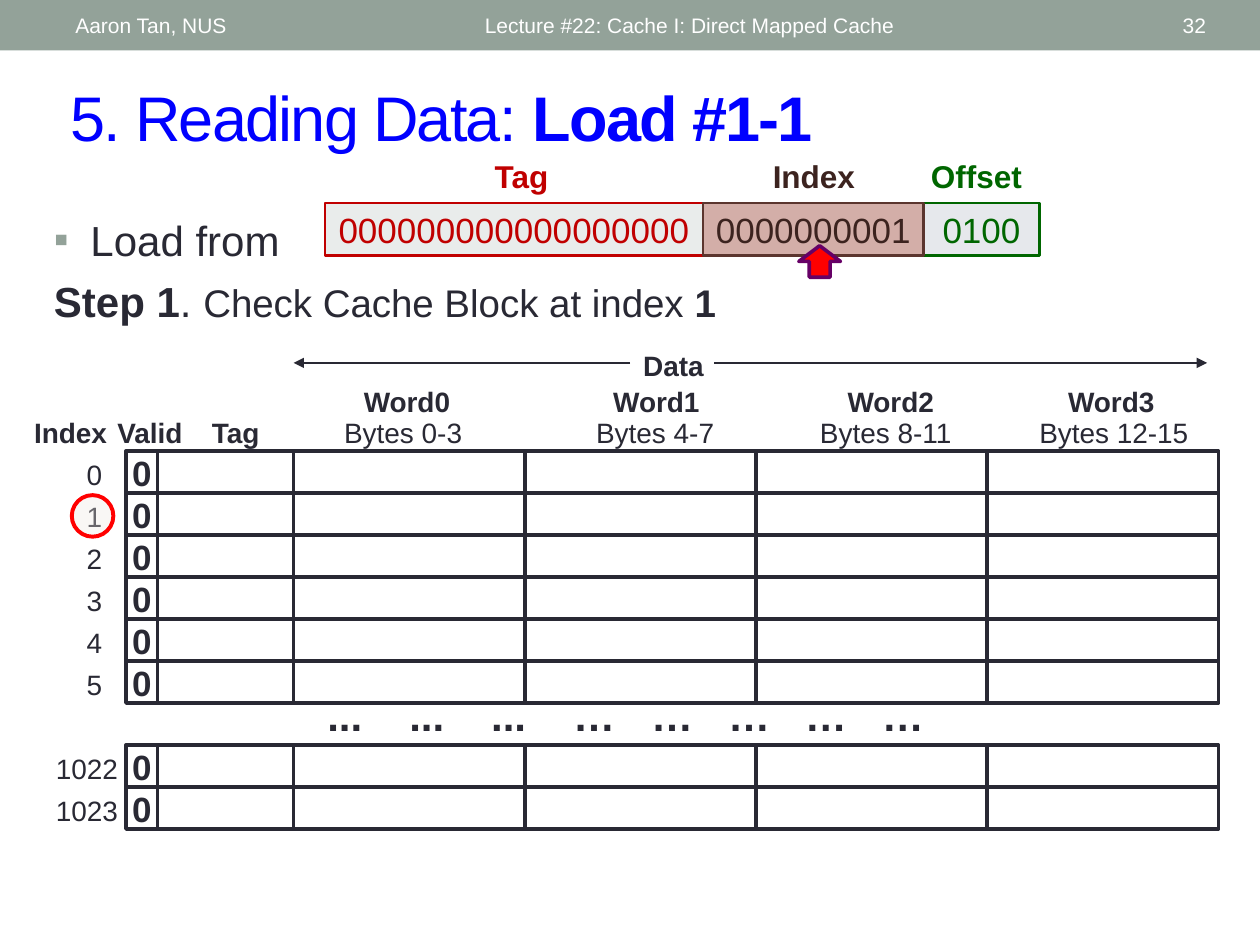
import pptx
import pptx.util
import pptx.dml.color
import pptx.enum.shapes
import pptx.enum.text
import pptx.oxml.ns
from lxml import etree

Inches, Pt = pptx.util.Inches, pptx.util.Pt
Kind = pptx.enum.shapes.MSO_SHAPE
Align = pptx.enum.text.PP_ALIGN
Middle = pptx.enum.text.MSO_ANCHOR.MIDDLE
qn = pptx.oxml.ns.qn
INK, SAGE, WHITE, RED = "292934", "93A299", "FFFFFF", "FF0000"
ROW = 1 / 3


def color(text):
    return pptx.dml.color.RGBColor.from_string(text)


def add_tag(node, name, **attrs):
    return etree.SubElement(node, qn(name), attrs)


def set_font(font, size, ink, bold=False):
    font.name, font.size, font.bold = "Arial", Pt(size), bold
    font.color.rgb = color(ink)


def write(frame, text, size, ink=INK, bold=False, align=Align.CENTER):
    para = frame.paragraphs[0]
    para.alignment = align
    para.add_run().text = text
    set_font(para.font, size, ink, bold)
    return para


def add_text(slide, box, text, size, ink=INK, bold=False,
             align=Align.CENTER, wrap=False, anchor=None):
    frame = slide.shapes.add_textbox(*map(Inches, box)).text_frame
    frame.word_wrap = wrap
    if anchor is not None:
        frame.vertical_anchor = anchor
    return write(frame, text, size, ink, bold, align)


def add_shape(slide, box, kind, fill=None, line=None, width=0):
    shape = slide.shapes.add_shape(kind, *map(Inches, box))
    shape.shadow.inherit = False
    if fill:
        shape.fill.solid()
        shape.fill.fore_color.rgb = color(fill)
    else:
        shape.fill.background()
    if line:
        shape.line.color.rgb = color(line)
        shape.line.width = Pt(width)
    else:
        shape.line.fill.background()
    return shape


def add_cell(slide, box, text, size, ink=INK, bold=False, **look):
    shape = add_shape(slide, box, Kind.RECTANGLE, **look)
    frame = shape.text_frame
    frame.margin_left = frame.margin_right = 0
    frame.word_wrap = False
    frame.vertical_anchor = Middle
    if text:
        write(frame, text, size, ink, bold)


def add_arrow(slide, start, end, y):
    line = slide.shapes.add_connector(
        pptx.enum.shapes.MSO_CONNECTOR.STRAIGHT,
        *map(Inches, (start, y, end, y)))
    line.line.color.rgb = color(INK)
    line.line.width = Pt(0.75)
    add_tag(line.line._get_or_add_ln(), "a:tailEnd", type="triangle")
    add_tag(line._element.spPr, "a:effectLst")


def add_header(slide, box):
    left, top, width, height = box
    add_shape(slide, box, Kind.RECTANGLE, fill=SAGE)
    for x, wide, text, align in (
            (0.5, 3.17, "Aaron Tan, NUS", Align.LEFT),
            (3.75, 4.5, "Lecture #22: Cache I: Direct Mapped Cache", Align.LEFT),
            (8.72, 0.95, "32", Align.RIGHT)):
        add_text(slide, (left + x, top + 0.02, wide, height - 0.04), text, 12,
                 WHITE, align=align, wrap=True, anchor=Middle)


def add_title(slide, box):
    para = add_text(slide, box, "5. Reading Data: ", 36, "0000FF",
                    align=Align.LEFT, wrap=True, anchor=Middle)
    strong = para.add_run()
    strong.text = "Load #1-1"
    strong.font.bold = True
    for run in para.runs:
        run.font._element.set("spc", "-100")


def add_body(slide, box):
    frame = slide.shapes.add_textbox(*map(Inches, box)).text_frame
    frame.word_wrap = True
    frame.margin_top = Inches(0.1)
    first = frame.paragraphs[0]
    props = first._p.get_or_add_pPr()
    props.set("marL", str(Inches(0.29)))
    props.set("indent", str(-Inches(0.29)))
    add_tag(add_tag(props, "a:buClr"), "a:srgbClr", val=SAGE)
    add_tag(props, "a:buFont", typeface="Arial")
    add_tag(props, "a:buChar", char="▪")
    write(frame, "Load from", 24, align=Align.LEFT)
    step = frame.add_paragraph()
    step.space_before = Pt(6)
    for text, size, bold in (("Step 1", 24, True), (". ", 24, False),
                             ("Check Cache Block at index ", 22, False),
                             ("1", 22, True)):
        run = step.add_run()
        run.text = text
        set_font(run.font, size, INK, bold)


def add_address(slide, box):
    left, top, _, height = box
    x = left
    # Field: name, bits, width, label centre, ink, fill, line
    for name, bits, wide, mid, ink, fill, line in (
            ("Tag", "000000000000000000", 3, 4.14, "C00000", "E9ECEB", "C00000"),
            ("Offset", "0100", 0.92, 7.75, "006600", "E6E8EC", "006600"),
            ("Index", "0000000001", 1.75, 6.46, "3C231F", "D3AEA8", "5B352E")):
        x = {"Tag": left, "Index": left + 3, "Offset": left + 4.75}[name]
        add_cell(slide, (x, top, wide, height), bits, 20, ink,
                 fill=fill, line=line, width=1.5)
        add_text(slide, (mid - 0.58, top - 0.41, 1.16, 0.4), name, 18, ink, True)


def add_heads(slide, box):
    left, top, width, _ = box
    right = left + width
    # Data span
    add_text(slide, (5, top - 0.86, 0.69, 0.37), "Data", 16, bold=True)
    add_arrow(slide, 5, 2.33, top - 0.7)
    add_arrow(slide, 5.67, right - 0.09, top - 0.7)
    # Column names
    for mid, name in ((0.56, "Index"), (1.19, "Valid"), (1.87, "Tag")):
        add_text(slide, (mid - 0.4, top - 0.33, 0.8, 0.37), name, 16, bold=True)
    for i, (word, byte, span) in enumerate((
            (3.23, 3.2, "0-3"), (5.21, 5.2, "4-7"),
            (7.07, 7.03, "8-11"), (8.82, 8.84, "12-15"))):
        add_text(slide, (word - 0.45, top - 0.58, 0.9, 0.37), f"Word{i}", 16,
                 bold=True)
        add_text(slide, (byte - 0.7, top - 0.33, 1.4, 0.37), f"Bytes {span}", 16)


def add_cache(slide, box):
    left, top, width, _ = box
    word = (width - 1.33) / 4
    edges = [left, left + 0.25] + [left + 1.33 + i * word for i in range(5)]
    add_heads(slide, box)
    # Rows, with one left free for the dots
    for row, name in enumerate(("0", "1", "2", "3", "4", "5", "", "1022", "1023")):
        y = top + row * ROW
        if not name:
            continue
        for i, (x, end) in enumerate(zip(edges, edges[1:])):
            add_cell(slide, (x, y, end - x, ROW), "" if i else "0", 20,
                     bold=True, line=INK, width=2)
        mid = left - (0.25 if len(name) == 1 else 0.31)
        add_text(slide, (mid - 0.35, y, 0.7, 0.37), name, 16)
    # Dots at even tab stops
    dots = add_text(slide, (2.5, top + 1.84, 5.5, 0.81),
                    "\t".join(["..."] * 3 + ["…"] * 5), 24, bold=True,
                    align=Align.LEFT, wrap=True)
    stops = etree.Element(qn("a:tabLst"))
    for i in range(7):
        stop = 0.65 * (i + 1) if i < 3 else 1.96 + 0.61 * (i - 2)
        add_tag(stops, "a:tab", pos=str(Inches(stop)), algn="l")
    dots._p.pPr.find(qn("a:defRPr")).addprevious(stops)


def add_marks(slide):
    # Ring round index 1
    ring = add_shape(slide, (0.57, 3.93, 0.33, 0.33), Kind.OVAL,
                     "EFE9E1", RED, 2.25)
    tint = ring.fill._xPr.find(qn("a:solidFill"))[0]
    add_tag(tint, "a:alpha", val="32000")
    # Arrow up to the index field
    arrow = add_shape(slide, (6.38, 1.91, 0.25, 0.33), Kind.LEFT_ARROW,
                      RED, "660066", 2.08)
    arrow.rotation = 90


def main():
    deck = pptx.Presentation()
    deck.slide_width, deck.slide_height = Inches(10), Inches(7.5)
    slide = deck.slides.add_slide(deck.slide_layouts[6])
    add_header(slide, (0, 0, 10, 0.4))
    add_cache(slide, (1, 3.58, 8.67, 3))
    add_title(slide, (0.46, 0.57, 9.21, 0.7))
    add_body(slide, (0.33, 1.6, 9, 1.05))
    add_address(slide, (2.58, 1.61, 5.67, 0.42))
    add_marks(slide)
    deck.save("out.pptx")


if __name__ == "__main__":
    main()
